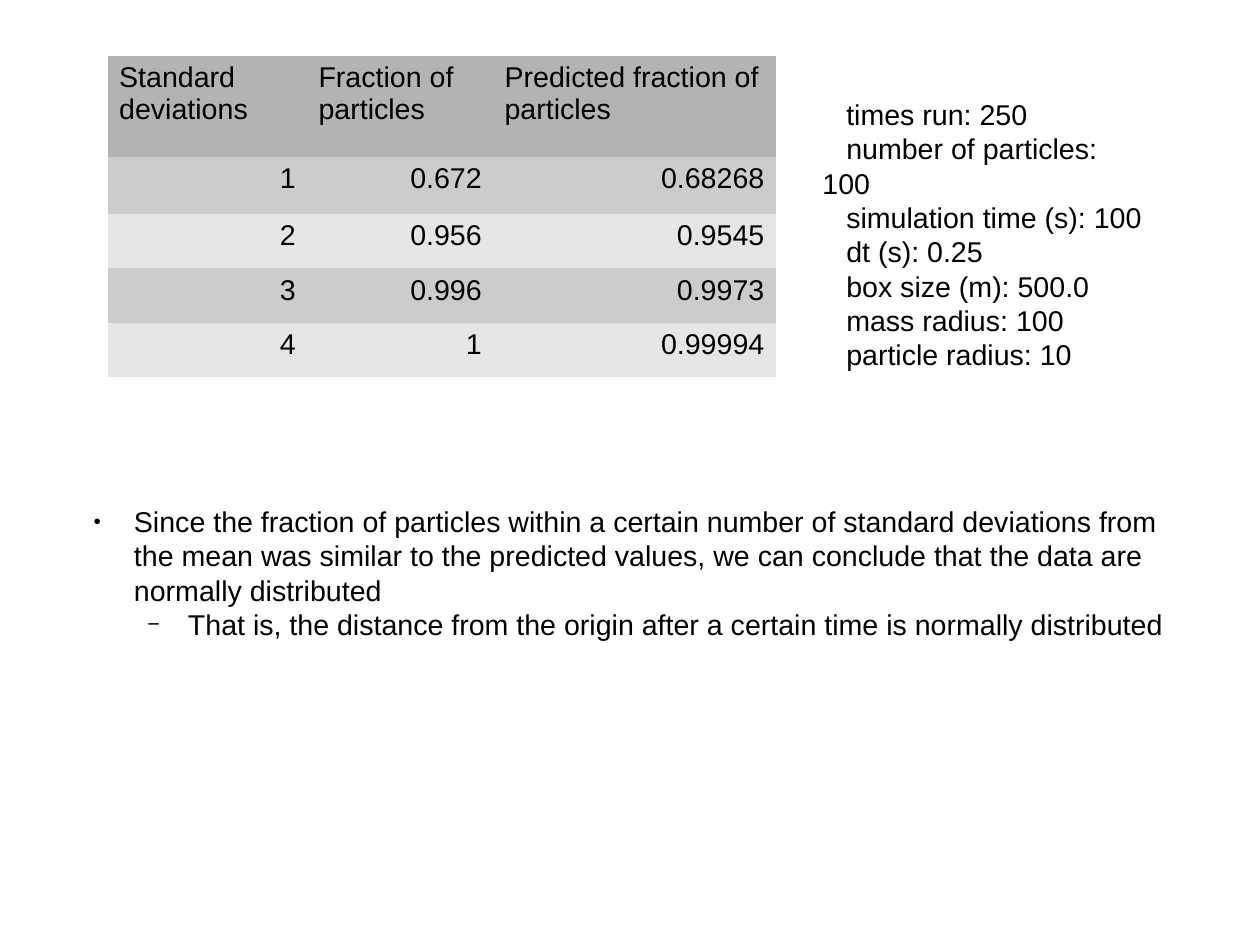
from lxml.etree import SubElement
from pptx import Presentation
from pptx.dml.color import RGBColor
from pptx.enum.text import MSO_ANCHOR, MSO_AUTO_SIZE, PP_ALIGN
from pptx.oxml.ns import qn
from pptx.util import Pt

BLACK = RGBColor(0x00, 0x00, 0x00)
HEADER_GREY = RGBColor(0xB3, 0xB3, 0xB3)
DARK_BAND = RGBColor(0xCC, 0xCC, 0xCC)
LIGHT_BAND = RGBColor(0xE6, 0xE6, 0xE6)

FONT = "Arial"
FONT_SIZE = 18
PLAIN_TABLE_STYLE = "{2D5ABB26-0587-4C30-8999-92F81FD0307C}"

COLUMN_WIDTHS = [125.6, 117.2, 178]
ROW_HEIGHTS = [63.6, 36, 34.2, 34.2, 34.2]
FRACTIONS = [
    ["Standard deviations", "Fraction of particles", "Predicted fraction of particles"],
    ["1", "0.672", "0.68268"],
    ["2", "0.956", "0.9545"],
    ["3", "0.996", "0.9973"],
    ["4", "1", "0.99994"],
]
PARAMETERS = [
    "times run: 250",
    "number of particles: 100",
    "simulation time (s): 100",
    "dt (s): 0.25",
    "box size (m): 500.0",
    "mass radius: 100",
    "particle radius: 10",
]
# Level, bullet, bullet size in percent, text
CONCLUSIONS = [
    (0, "●", 45, "Since the fraction of particles within a certain number of "
     "standard deviations from the mean was similar to the predicted values, "
     "we can conclude that the data are normally distributed"),
    (1, "−", 75, "That is, the distance from the origin after a certain time "
     "is normally distributed"),
]


def add_span(para, text):
    span = para.add_run()
    span.text = text
    span.font.name = FONT
    span.font.size = Pt(FONT_SIZE)
    span.font.bold = False
    span.font.color.rgb = BLACK


def next_para(frame, index):
    para = frame.paragraphs[0] if index == 0 else frame.add_paragraph()
    para.alignment = PP_ALIGN.LEFT
    para.line_spacing = 1.0
    para.space_before = Pt(0)
    return para


def set_indent(para, left, first):
    properties = para._p.get_or_add_pPr()
    properties.set("marL", str(Pt(left)))
    properties.set("indent", str(Pt(first)))
    return properties


def set_bullet(properties, symbol, percent):
    color = SubElement(properties, qn("a:buClr"))
    SubElement(color, qn("a:srgbClr"), val=str(BLACK))
    SubElement(properties, qn("a:buSzPct"), val=str(percent * 1000))
    SubElement(properties, qn("a:buFont"), typeface=FONT)
    SubElement(properties, qn("a:buChar"), char=symbol)


def add_fraction_table(page):
    frame = page.shapes.add_table(
        len(ROW_HEIGHTS), len(COLUMN_WIDTHS), Pt(67.9), Pt(35.3),
        Pt(sum(COLUMN_WIDTHS)), Pt(sum(ROW_HEIGHTS)))
    table = frame.table
    table._tbl.tblPr.find(qn("a:tableStyleId")).text = PLAIN_TABLE_STYLE
    for column, width in zip(table.columns, COLUMN_WIDTHS):
        column.width = Pt(width)
    for row_index, (row, height) in enumerate(zip(table.rows, ROW_HEIGHTS)):
        row.height = Pt(height)
        if row_index == 0:
            fill, alignment = HEADER_GREY, PP_ALIGN.LEFT
        else:
            fill = DARK_BAND if row_index % 2 else LIGHT_BAND
            alignment = PP_ALIGN.RIGHT
        for cell, text in zip(row.cells, FRACTIONS[row_index]):
            cell.fill.solid()
            cell.fill.fore_color.rgb = fill
            para = cell.text_frame.paragraphs[0]
            para.alignment = alignment
            add_span(para, text)


def add_parameters(page):
    box = page.shapes.add_textbox(Pt(511), Pt(57.6), Pt(221.8), Pt(168.5))
    frame = box.text_frame
    frame.word_wrap = True
    for index, text in enumerate(PARAMETERS):
        para = next_para(frame, index)
        set_indent(para, 0, 15)
        add_span(para, text)


def fill_conclusions(body):
    body.left, body.top = Pt(43.2), Pt(313.9)
    body.width, body.height = Pt(712.8), Pt(226.1)
    frame = body.text_frame
    frame.word_wrap = True
    frame.auto_size = MSO_AUTO_SIZE.NONE
    frame.vertical_anchor = MSO_ANCHOR.TOP
    for index, (level, symbol, percent, text) in enumerate(CONCLUSIONS):
        para = next_para(frame, index)
        para.level = level
        properties = set_indent(para, 34 * (level + 1), -25.5)
        set_bullet(properties, symbol, percent)
        add_span(para, text)


def main():
    deck = Presentation()
    deck.slide_width, deck.slide_height = Pt(793.7), Pt(595.28)
    page = deck.slides.add_slide(deck.slide_layouts[1])

    # The slide has no title
    title = page.shapes.title.element
    title.getparent().remove(title)

    # Results and simulation settings
    add_fraction_table(page)
    add_parameters(page)

    # Conclusion
    fill_conclusions(page.placeholders[1])

    deck.save("out.pptx")


if __name__ == "__main__":
    main()
